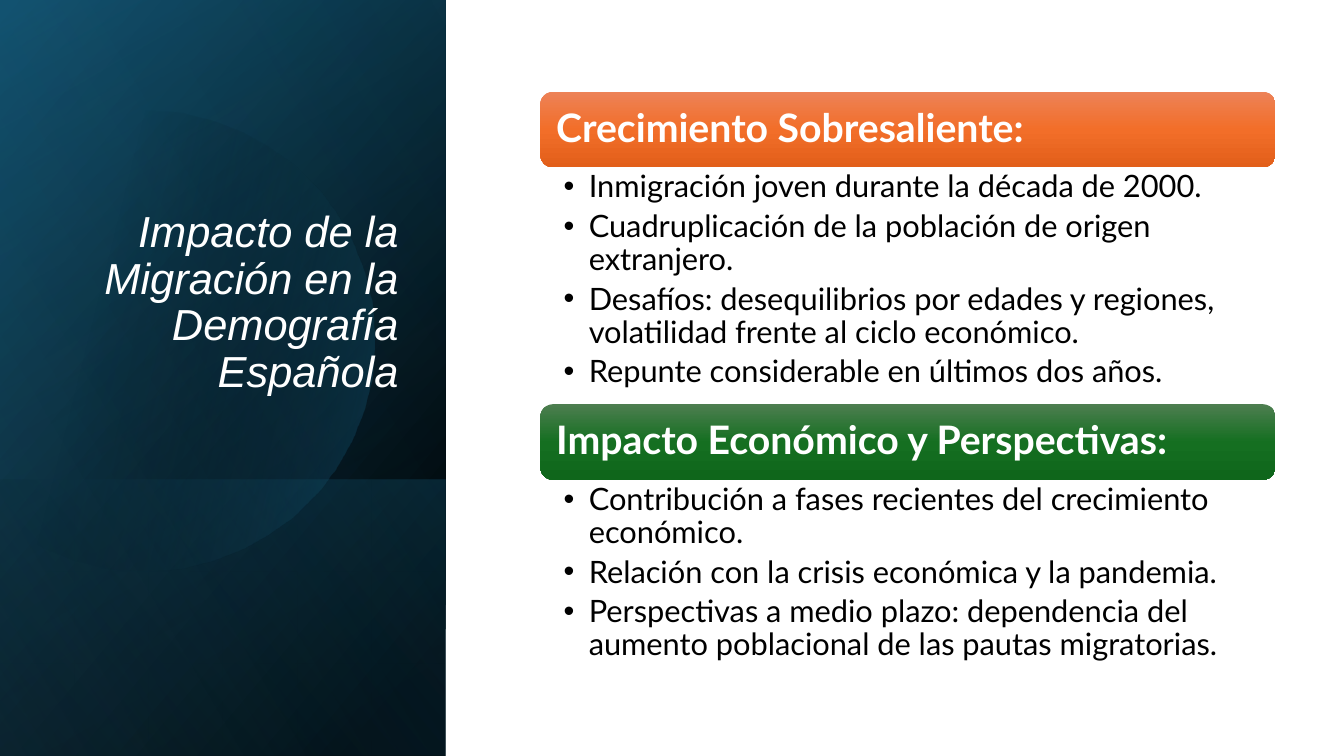
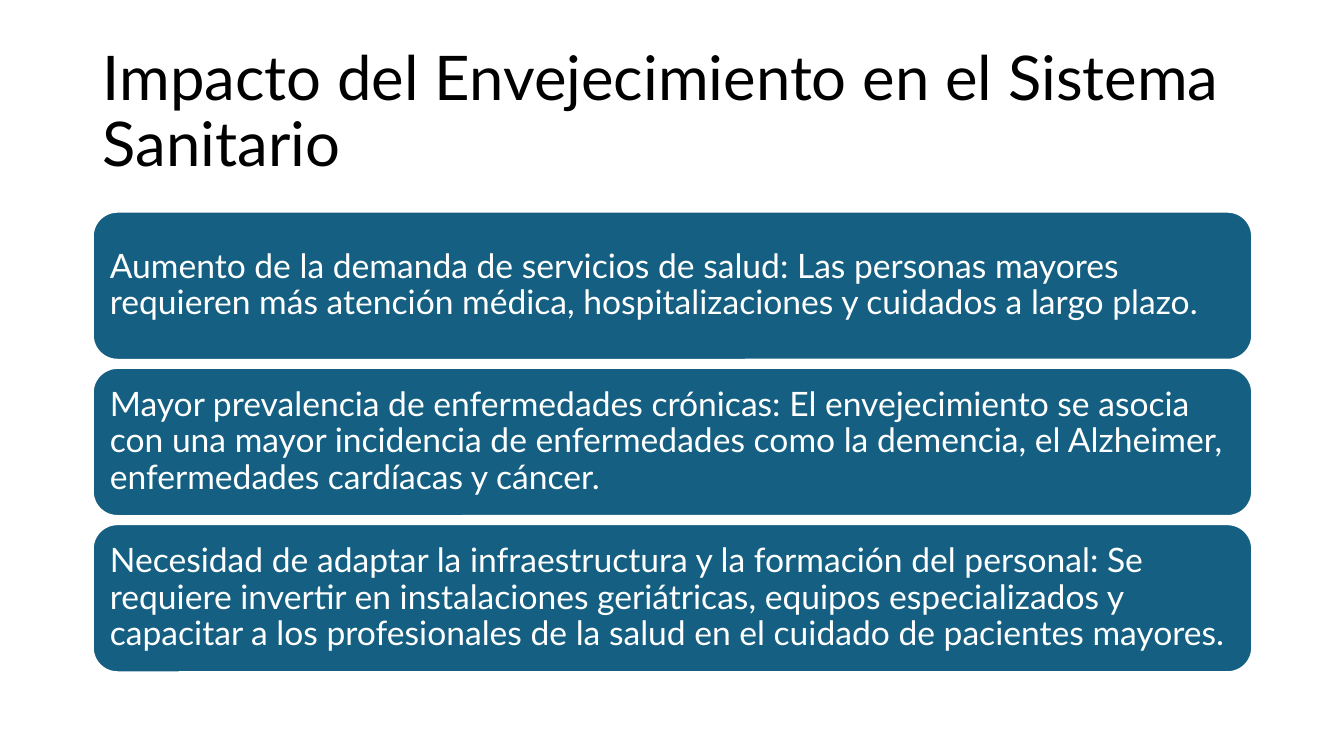
"""Build two slides on migration and ageing in Spain."""
from dataclasses import dataclass
from math import cos, radians, sin

from pptx import Presentation
from pptx.dml.color import RGBColor
from pptx.enum.shapes import MSO_SHAPE as Shape
from pptx.enum.text import MSO_ANCHOR as Anchor, PP_ALIGN as Align
from pptx.oxml import parse_xml
from pptx.oxml.ns import nsdecls, qn
from pptx.util import Pt


@dataclass(frozen=True)
class Theme:
    black: str = "000000"
    white: str = "FFFFFF"
    teal: str = "156082"
    deep_teal: str = "104862"
    sky: str = "46B1E1"
    orange: tuple = ("ED8257", "F26E29", "E25F1A")
    green: tuple = ("4D7E50", "156F21", "0F661B")
    body_font: str = "Lato"
    panel_font: str = "Arial"
    title_size: int = 44
    panel_size: int = 31
    header_size: int = 28
    card_size: int = 24
    bullet_size: int = 22


PX = 9144
theme = Theme()


def paint_gradient(shape, stops, angle):
    shape.shadow.inherit = False
    shape.line.fill.background()
    shape.fill.background()
    stop_xml = "".join(
        f'<a:gs pos="{position * 1000}"><a:srgbClr val="{color}">'
        f'<a:alpha val="{alpha * 1000}"/></a:srgbClr></a:gs>'
        for position, color, alpha in stops
    )
    gradient = parse_xml(
        f'<a:gradFill {nsdecls("a")} rotWithShape="1"><a:gsLst>{stop_xml}</a:gsLst>'
        f'<a:lin ang="{angle * 60000}" scaled="0"/></a:gradFill>'
    )
    properties = shape._element.spPr
    properties.replace(properties.find(qn("a:noFill")), gradient)


def write_text(shape, *lines, size, color, font=theme.body_font, bold=False,
               italic=False, align=Align.LEFT, anchor=Anchor.MIDDLE,
               margins=(10, 5, 10, 5), bullet=False):
    frame = shape.text_frame
    frame.word_wrap = True
    frame.vertical_anchor = anchor
    frame.margin_left, frame.margin_top, frame.margin_right, frame.margin_bottom = (
        margin * PX for margin in margins
    )
    for index, line in enumerate(lines):
        paragraph = frame.add_paragraph() if index else frame.paragraphs[0]
        paragraph.text = line
        paragraph.alignment = align
        paragraph.line_spacing = 0.9
        if bullet:
            paragraph.space_after = Pt(size * 0.2)
            properties = paragraph._p.get_or_add_pPr()
            properties.set("marL", str(25 * PX))
            properties.set("indent", str(-25 * PX))
            properties.append(parse_xml(f'<a:buFont {nsdecls("a")} typeface="Arial"/>'))
            properties.append(parse_xml(f'<a:buChar {nsdecls("a")} char="•"/>'))
        paragraph.font.name = font
        paragraph.font.size = Pt(size)
        paragraph.font.bold = bold
        paragraph.font.italic = italic
        paragraph.font.color.rgb = RGBColor.from_string(color)


presentation = Presentation()
presentation.slide_width = 1333 * PX
presentation.slide_height = 750 * PX
blank = presentation.slide_layouts[6]

slide = presentation.slides.add_slide(blank)
shapes = slide.shapes
panel_width = 442
panel_layers = [
    (0, 750, [(8, theme.black, 100), (100, theme.deep_teal, 100)], 220),
    (0, 750, [(0, theme.black, 0), (99, theme.teal, 46)], 240),
    (476, 274, [(2, theme.teal, 29), (100, theme.black, 30)], 140),
]
for top, height, stops, angle in panel_layers:
    layer = shapes.add_shape(Shape.RECTANGLE, 0, top * PX, panel_width * PX, height * PX)
    paint_gradient(layer, stops, angle)

center_x, center_y, radius = 143, 338, 228
arc = [
    (round(center_x + radius * cos(radians(degree)), 2),
     round(center_y + radius * sin(radians(degree)), 2))
    for degree in range(-128, 129, 2)
]
builder = shapes.build_freeform(*arc[0], scale=PX)
builder.add_line_segments(arc[1:], close=True)
paint_gradient(builder.convert_to_shape(), [(29, theme.black, 0), (100, theme.teal, 43)], 14)

glow = shapes.add_shape(Shape.RECTANGLE, 0, 0, panel_width * PX, 750 * PX)
paint_gradient(glow, [(0, theme.black, 0), (99, theme.sky, 11)], 150)

title = shapes.add_textbox(64 * PX, 184 * PX, 341 * PX, 215 * PX)
write_text(title, "Impacto de la Migración en la Demografía Española",
           size=theme.panel_size, color=theme.white, font=theme.panel_font,
           italic=True, align=Align.RIGHT, anchor=Anchor.BOTTOM)

sections = [
    ("Crecimiento Sobresaliente:", theme.orange, 235, [
        "Inmigración joven durante la década de 2000.",
        "Cuadruplicación de la población de origen extranjero.",
        "Desafíos: desequilibrios por edades y regiones, volatilidad frente al ciclo económico.",
        "Repunte considerable en últimos dos años.",
    ]),
    ("Impacto Económico y Perspectivas:", theme.green, 193, [
        "Contribución a fases recientes del crecimiento económico.",
        "Relación con la crisis económica y la pandemia.",
        "Perspectivas a medio plazo: dependencia del aumento poblacional de las pautas migratorias.",
    ]),
]
section_left, section_width, header_height = 536, 729, 75
top = 91
for heading, colors, list_height, bullets in sections:
    header = shapes.add_shape(Shape.ROUNDED_RECTANGLE, section_left * PX, top * PX,
                              section_width * PX, header_height * PX)
    paint_gradient(header, [(index * 50, color, 100) for index, color in enumerate(colors)], 90)
    write_text(header, heading, size=theme.header_size, color=theme.white, bold=True,
               margins=(12, 12, 12, 12))
    top += header_height
    bullet_box = shapes.add_textbox(section_left * PX, top * PX,
                                    section_width * PX, list_height * PX)
    write_text(bullet_box, *bullets, size=theme.bullet_size, color=theme.black,
               anchor=Anchor.TOP, margins=(23, 4, 22, 4), bullet=True)
    top += list_height

slide = presentation.slides.add_slide(blank)
shapes = slide.shapes
content_left, content_width = 92, 1150
title = shapes.add_textbox(content_left * PX, 40 * PX, content_width * PX, 145 * PX)
write_text(title, "Impacto del Envejecimiento en el Sistema Sanitario",
           size=theme.title_size, color=theme.black)

cards = [
    "Aumento de la demanda de servicios de salud: Las personas mayores requieren más "
    "atención médica, hospitalizaciones y cuidados a largo plazo.",
    "Mayor prevalencia de enfermedades crónicas: El envejecimiento se asocia con una mayor "
    "incidencia de enfermedades como la demencia, el Alzheimer, enfermedades cardíacas y cáncer.",
    "Necesidad de adaptar la infraestructura y la formación del personal: Se requiere "
    "invertir en instalaciones geriátricas, equipos especializados y capacitar a los "
    "profesionales de la salud en el cuidado de pacientes mayores.",
]
card_height, card_gap = 147, 8
for index, text in enumerate(cards):
    card_top = 210 + index * (card_height + card_gap)
    card = shapes.add_shape(Shape.ROUNDED_RECTANGLE, content_left * PX, card_top * PX,
                            content_width * PX, card_height * PX)
    card.shadow.inherit = False
    card.fill.solid()
    card.fill.fore_color.rgb = RGBColor.from_string(theme.teal)
    card.line.color.rgb = RGBColor.from_string(theme.white)
    card.line.width = Pt(1.5)
    write_text(card, text, size=theme.card_size, color=theme.white, margins=(10, 10, 10, 10))

presentation.save("out.pptx")
